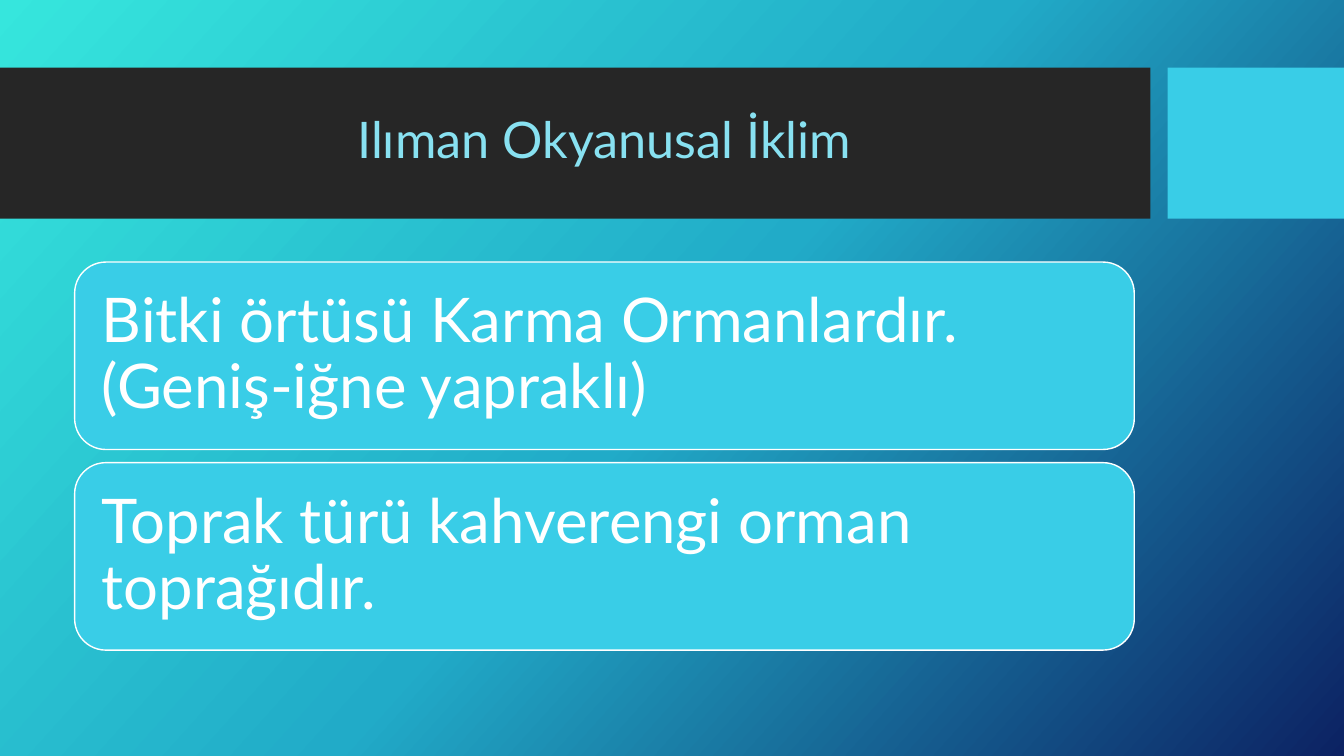
import copy

import pptx
import pptx.dml.color
import pptx.enum.shapes
import pptx.enum.text
import pptx.util

Inches = pptx.util.Inches
MSO_SHAPE = pptx.enum.shapes.MSO_SHAPE
PP_ALIGN = pptx.enum.text.PP_ALIGN


def rgb(value):
    return pptx.dml.color.RGBColor.from_string(value)


def write(tf, text, size, color, align):
    tf.word_wrap = True
    tf.auto_size = pptx.enum.text.MSO_AUTO_SIZE.NONE
    tf.vertical_anchor = pptx.enum.text.MSO_ANCHOR.MIDDLE
    p = tf.paragraphs[0]
    p.alignment = align
    p.line_spacing = 0.9
    r = p.add_run()
    r.text = text
    r.font.name = "Lato"
    r.font.size = pptx.util.Pt(size)
    r.font.color.rgb = rgb(color)


prs = pptx.Presentation()
prs.slide_width = Inches(13.33)
prs.slide_height = Inches(7.5)
s = prs.slides.add_slide(prs.slide_layouts[5])

fill = s.background.fill
fill.gradient()
fill.gradient_angle = 360 - 42
stop_list = s.background._cSld.xpath(".//a:gsLst")[0]
stop_list.append(copy.deepcopy(stop_list[0]))
stops = [(0, "36E6DD"), (0.5, "21ABC8"), (1, "0C2263")]
for stop, (position, color) in zip(fill.gradient_stops, stops):
    stop.position = position
    stop.color.rgb = rgb(color)

for left, width, color in [(0, 11.41, "262626"), (11.58, 1.75, "39CDE7")]:
    bar = s.shapes.add_shape(MSO_SHAPE.RECTANGLE, Inches(left), Inches(0.67), Inches(width), Inches(1.5))
    bar.shadow.inherit = False
    bar.fill.solid()
    bar.fill.fore_color.rgb = rgb(color)
    bar.line.fill.background()

title = s.shapes.title
title.left, title.top = Inches(0.74), Inches(0.82)
title.width, title.height = Inches(10.51), Inches(1.18)
write(title.text_frame, "Ilıman Okyanusal İklim", 36, "88E1F1", PP_ALIGN.CENTER)
s.shapes._spTree.append(title._element)

facts = [
    "Bitki örtüsü Karma Ormanlardır.(Geniş-iğne yapraklı)",
    "Toprak türü kahverengi orman toprağıdır.",
]
for i, fact in enumerate(facts):
    sp = s.shapes.add_shape(
        MSO_SHAPE.ROUNDED_RECTANGLE, Inches(0.74), Inches(2.6 + 1.99 * i), Inches(10.51), Inches(1.86)
    )
    sp.shadow.inherit = False
    sp.fill.solid()
    sp.fill.fore_color.rgb = rgb("39CDE7")
    sp.line.color.rgb = rgb("FFFFFF")
    sp.line.width = pptx.util.Pt(1)
    tf = sp.text_frame
    tf.margin_left = tf.margin_right = tf.margin_top = tf.margin_bottom = Inches(0.18)
    write(tf, fact, 44, "FFFFFF", PP_ALIGN.LEFT)

prs.save("out.pptx")
